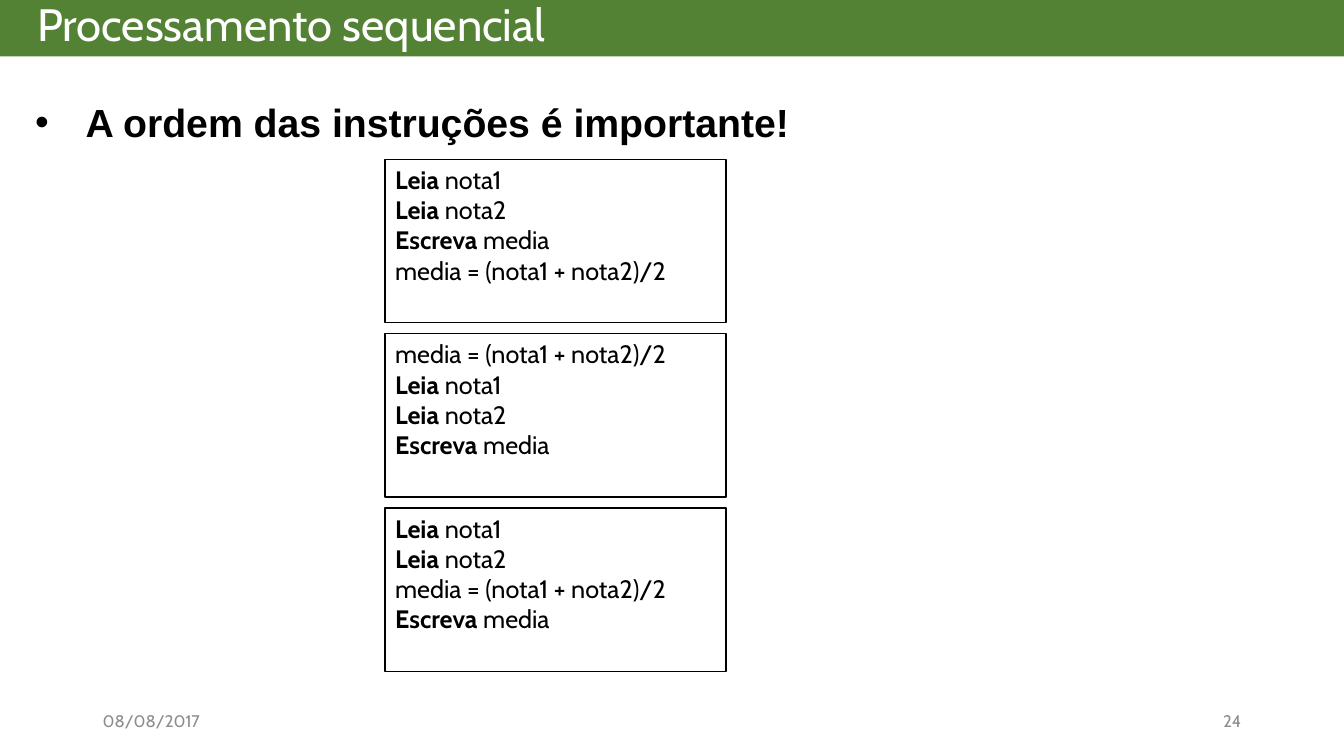
from pptx import Presentation
from pptx.dml.color import RGBColor
from pptx.enum.shapes import MSO_SHAPE
from pptx.enum.text import MSO_ANCHOR, PP_ALIGN
from pptx.oxml.ns import qn
from pptx.util import Inches, Pt
from lxml.etree import SubElement

GREEN = RGBColor(0x54, 0x82, 0x35)
WHITE = RGBColor(0xFF, 0xFF, 0xFF)
BLACK = RGBColor(0, 0, 0)
GRAY = RGBColor(0x8C, 0x8C, 0x8C)

SLIDE_WIDTH, SLIDE_HEIGHT = 13.33, 7.5
KEYWORDS = ("Leia", "Escreva")
AVERAGE = "media = (nota1 + nota2)/2"
READ_GRADES = ["Leia nota1", "Leia nota2"]
WRITE_AVERAGE = "Escreva media"
ORDERINGS = [
    READ_GRADES + [WRITE_AVERAGE, AVERAGE],
    [AVERAGE] + READ_GRADES + [WRITE_AVERAGE],
    READ_GRADES + [AVERAGE, WRITE_AVERAGE],
]


def add_run(paragraph, text, color, **font_format):
    run = paragraph.add_run()
    run.text = text
    run.font.color.rgb = color
    for attribute, value in {"name": "Cabin", "bold": False, **font_format}.items():
        setattr(run.font, attribute, value)


def add_rectangle(slide, box, fill, outline=None):
    rectangle = slide.shapes.add_shape(MSO_SHAPE.RECTANGLE, *map(Inches, box))
    rectangle.shadow.inherit = False
    rectangle.fill.solid()
    rectangle.fill.fore_color.rgb = fill
    if outline is None:
        rectangle.line.fill.background()
    else:
        rectangle.line.color.rgb = outline
        rectangle.line.width = Pt(1)
    return rectangle


def add_text_area(slide, box, anchor=MSO_ANCHOR.TOP, align=PP_ALIGN.LEFT):
    """Add a wrapping text box and return its first paragraph."""
    frame = slide.shapes.add_textbox(*map(Inches, box)).text_frame
    frame.word_wrap = True
    frame.vertical_anchor = anchor
    paragraph = frame.paragraphs[0]
    paragraph.alignment = align
    return paragraph


def add_header(slide, box):
    left, top, width, height = box
    add_rectangle(slide, box, GREEN)
    title = add_text_area(slide, (left + 0.27, top, width - 0.55, height - 0.01),
                          MSO_ANCHOR.BOTTOM)
    add_run(title, "Processamento sequencial", WHITE, size=Pt(32.4))


def add_statement(slide, box):
    statement = add_text_area(slide, box, align=PP_ALIGN.JUSTIFY)
    statement.line_spacing = 1.5
    statement.space_after = Pt(12)
    properties = statement._p.get_or_add_pPr()
    properties.set("marL", str(Inches(0.5)))
    properties.set("indent", str(-Inches(0.5)))
    SubElement(properties, qn("a:buFont"), typeface="Arial")
    SubElement(properties, qn("a:buChar"), char="•")
    add_run(statement, "A ordem das instruções é importante!", BLACK,
            name="Arial", size=Pt(28), bold=True)


def add_algorithm(slide, box, instructions):
    frame = add_rectangle(slide, box, WHITE, BLACK).text_frame
    frame.word_wrap = True
    frame.vertical_anchor = MSO_ANCHOR.TOP
    for index, instruction in enumerate(instructions):
        line = frame.add_paragraph() if index else frame.paragraphs[0]
        line.alignment = PP_ALIGN.LEFT
        keyword, space, operand = instruction.partition(" ")
        if keyword in KEYWORDS:
            add_run(line, keyword, BLACK, size=Pt(18), bold=True)
            add_run(line, space + operand, BLACK, size=Pt(18))
        else:
            add_run(line, instruction, BLACK, size=Pt(18))


def add_algorithms(slide, box, gap):
    """Stack the orderings in equal boxes."""
    left, top, width, height = box
    row_height = (height - gap * (len(ORDERINGS) - 1)) / len(ORDERINGS)
    for row, instructions in enumerate(ORDERINGS):
        row_top = top + row * (row_height + gap)
        add_algorithm(slide, (left, row_top, width, row_height), instructions)


def add_footer(slide, box):
    left, top, width, height = box
    part_width = 3.58
    for text, part_left, align in (
        ("08/08/2017", left, PP_ALIGN.LEFT),
        ("24", left + width - part_width, PP_ALIGN.RIGHT),
    ):
        part = add_text_area(slide, (part_left, top, part_width, height),
                             MSO_ANCHOR.MIDDLE, align)
        add_run(part, text, GRAY, size=Pt(12))


def main():
    presentation = Presentation()
    presentation.slide_width = Inches(SLIDE_WIDTH)
    presentation.slide_height = Inches(SLIDE_HEIGHT)
    slide = presentation.slides.add_slide(presentation.slide_layouts[6])
    add_header(slide, (0, 0, SLIDE_WIDTH, 0.56))
    add_statement(slide, (0.25, 0.69, 12.8, 6.17))
    add_footer(slide, (0.92, 6.95, 11.49, 0.4))
    add_algorithms(slide, (3.82, 1.58, 3.38, 5.08), gap=0.11)
    presentation.save("out.pptx")


if __name__ == "__main__":
    main()
